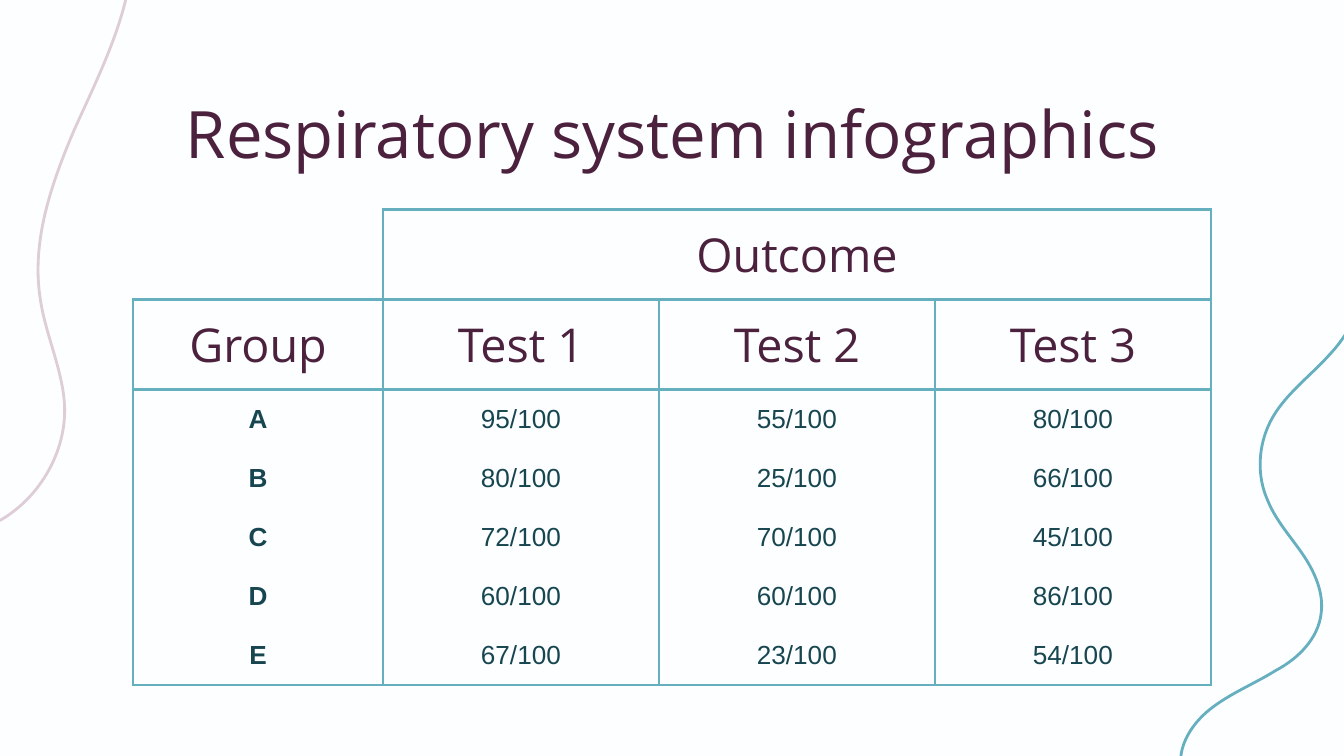
from dataclasses import dataclass
from math import cos, radians, sin

from lxml import etree
from pptx import Presentation
from pptx.dml.color import RGBColor
from pptx.enum.text import MSO_ANCHOR, PP_ALIGN
from pptx.oxml.ns import qn
from pptx.util import Inches, Pt

CENTER = PP_ALIGN.CENTER
TOP = MSO_ANCHOR.TOP
MIDDLE = MSO_ANCHOR.MIDDLE
BLANK_LAYOUT = 6


@dataclass(frozen=True)
class Theme:
    background: str = "FCFEFF"
    heading: str = "4C213D"
    body: str = "174650"
    teal: str = "66AFBF"
    rose: str = "DECCD6"
    heading_font: str = "Open Sans"
    body_font: str = "Arial"
    title_size: int = 35
    header_size: int = 25
    body_size: int = 14
    line_width: float = 1.5


THEME = Theme()

# Each wave: a start point, then cubic curves (two handles and an end point)
TEAL_WAVE = ((10.1, 2.02), [
    (10.17, 2.23, 10.05, 2.47, 9.9, 2.63),
    (9.75, 2.8, 9.55, 2.94, 9.45, 3.14),
    (9.36, 3.32, 9.35, 3.54, 9.43, 3.72),
    (9.49, 3.87, 9.6, 3.99, 9.69, 4.12),
    (9.78, 4.25, 9.85, 4.41, 9.83, 4.56),
    (9.81, 4.75, 9.66, 4.9, 9.49, 4.99),
    (9.33, 5.09, 9.15, 5.16, 9, 5.28),
    (8.85, 5.4, 8.74, 5.59, 8.8, 5.77),
    (8.85, 5.94, 9.02, 6.05, 9.06, 6.22),
    (9.11, 6.39, 8.98, 6.58, 8.81, 6.63),
    (8.64, 6.68, 8.45, 6.6, 8.34, 6.46),
    (8.23, 6.32, 8.19, 6.13, 8.22, 5.96),
    (7.99, 6.08, 7.95, 6.42, 8.05, 6.66),
    (8.16, 6.9, 8.42, 7.05, 8.68, 7.07),
    (9, 7.1, 9.34, 6.94, 9.53, 6.67),
    (9.68, 6.44, 9.73, 6.16, 9.85, 5.92),
    (10.05, 5.53, 10.42, 5.26, 10.79, 5.04),
    (11.17, 4.82, 11.57, 4.62, 11.86, 4.3),
    (11.99, 4.14, 12.11, 3.95, 12.08, 3.74),
    (12.06, 3.55, 11.91, 3.39, 11.77, 3.26),
    (11.52, 3.05, 11.26, 2.86, 10.99, 2.69),
    (10.85, 2.61, 10.71, 2.53, 10.61, 2.41),
    (10.53, 2.32, 10.48, 2.19, 10.4, 2.11),
    (10.31, 2.02, 10.19, 1.94, 10.1, 2.02),
])
ROSE_WAVE = ((-1.78, -1.07), [
    (-1.59, -0.95, -1.55, -0.69, -1.58, -0.46),
    (-1.61, -0.24, -1.68, -0.01, -1.65, 0.21),
    (-1.62, 0.41, -1.49, 0.59, -1.32, 0.7),
    (-1.19, 0.78, -1.03, 0.82, -0.88, 0.87),
    (-0.73, 0.92, -0.58, 1, -0.51, 1.14),
    (-0.41, 1.31, -0.45, 1.52, -0.53, 1.69),
    (-0.6, 1.87, -0.71, 2.03, -0.76, 2.21),
    (-0.81, 2.39, -0.79, 2.62, -0.64, 2.73),
    (-0.5, 2.84, -0.29, 2.82, -0.16, 2.94),
    (-0.03, 3.05, -0.02, 3.28, -0.13, 3.42),
    (-0.24, 3.55, -0.44, 3.6, -0.61, 3.56),
    (-0.78, 3.51, -0.92, 3.38, -1, 3.22),
    (-1.12, 3.45, -0.95, 3.75, -0.73, 3.88),
    (-0.5, 4.02, -0.21, 3.99, 0.02, 3.86),
    (0.3, 3.69, 0.49, 3.36, 0.48, 3.03),
    (0.47, 2.76, 0.34, 2.5, 0.3, 2.23),
    (0.23, 1.8, 0.38, 1.37, 0.55, 0.97),
    (0.73, 0.57, 0.93, 0.18, 0.98, -0.25),
    (1.01, -0.46, 0.98, -0.69, 0.84, -0.84),
    (0.71, -0.98, 0.5, -1.02, 0.31, -1.04),
    (-0.01, -1.07, -0.34, -1.07, -0.66, -1.05),
    (-0.82, -1.04, -0.98, -1.01, -1.13, -1.06),
    (-1.25, -1.09, -1.36, -1.16, -1.48, -1.18),
    (-1.61, -1.2, -1.75, -1.19, -1.78, -1.07),
])

TESTS = ["Test 1", "Test 2", "Test 3"]
RESULTS = {
    "A": ["95/100", "55/100", "80/100"],
    "B": ["80/100", "25/100", "66/100"],
    "C": ["72/100", "70/100", "45/100"],
    "D": ["60/100", "60/100", "86/100"],
    "E": ["67/100", "23/100", "54/100"],
}


def rotate(x, y, degrees):
    angle = radians(degrees)
    return x * cos(angle) - y * sin(angle), x * sin(angle) + y * cos(angle)


def add_wave(slide, wave, rotation, color):
    """Draw a closed curve, given as it lies on the slide after rotation."""
    start, curves = wave
    points = [start] + [curve[i:i + 2] for curve in curves for i in (0, 2, 4)]
    local = [tuple(Inches(v) for v in rotate(x, y, -rotation)) for x, y in points]
    builder = slide.shapes.build_freeform(*local[0])
    builder.add_line_segments(local[1:], close=True)
    shape = builder.convert_to_shape()

    # Join every three line segments into one cubic curve
    outline = next(shape.element.iter(qn("a:path")))
    segments = outline.findall(qn("a:lnTo"))
    for index in range(0, len(segments), 3):
        curve = etree.Element(qn("a:cubicBezTo"))
        segments[index].addprevious(curve)
        for segment in segments[index:index + 3]:
            curve.append(segment[0])
            outline.remove(segment)

    # Turn the shape about its own centre
    center_x, center_y = rotate(shape.left + shape.width / 2,
                                shape.top + shape.height / 2, rotation)
    shape.left = round(center_x - shape.width / 2)
    shape.top = round(center_y - shape.height / 2)
    shape.rotation = rotation
    shape.shadow.inherit = False
    shape.fill.background()
    shape.line.color.rgb = RGBColor.from_string(color)
    shape.line.width = Pt(THEME.line_width)


def write_text(text_frame, text, font, size, color, bold=False):
    paragraph = text_frame.paragraphs[0]
    paragraph.alignment = CENTER
    run = paragraph.add_run()
    run.text = text
    run.font.name = font
    run.font.size = Pt(size)
    run.font.bold = bold
    run.font.color.rgb = RGBColor.from_string(color)


def set_margins(target):
    target.margin_left = target.margin_right = Inches(0.1)
    target.margin_top = target.margin_bottom = Inches(0.1)


def add_title(slide, text):
    box = slide.shapes.add_textbox(Inches(0.79), Inches(0.59), Inches(8.43), Inches(0.63))
    frame = box.text_frame
    frame.word_wrap = True
    frame.vertical_anchor = TOP
    set_margins(frame)
    write_text(frame, text, THEME.heading_font, THEME.title_size, THEME.heading)


def style_cell(cell, sides):
    """Clear the fill and rule only the named sides (L, R, T, B)."""
    properties = cell._tc.get_or_add_tcPr()
    for side in "LRTB":
        line = etree.SubElement(properties, qn(f"a:ln{side}"), w=str(Pt(THEME.line_width)))
        if side in sides:
            fill = etree.SubElement(line, qn("a:solidFill"))
            etree.SubElement(fill, qn("a:srgbClr"), val=THEME.teal)
        else:
            etree.SubElement(line, qn("a:noFill"))
    cell.fill.background()
    cell.vertical_anchor = MIDDLE
    set_margins(cell)


def add_results_table(slide):
    rows = [["", "Outcome", "", ""], ["Group"] + TESTS]
    rows += [[group] + scores for group, scores in RESULTS.items()]
    table_width, group_width = 8.02, 1.86
    test_width = (table_width - group_width) / len(TESTS)
    widths = [group_width] + [test_width] * len(TESTS)
    heights = [0.67] * 2 + [0.44] * len(RESULTS)
    frame = slide.shapes.add_table(len(rows), len(widths), Inches(0.99), Inches(1.56),
                                   Inches(table_width), Inches(sum(heights)))
    table = frame.table
    table.first_row = table.horz_banding = False
    for column, width in zip(table.columns, widths):
        column.width = Inches(width)
    for row, height in zip(table.rows, heights):
        row.height = Inches(height)
    table.cell(0, 1).merge(table.cell(0, len(TESTS)))

    row_sides = ["LRTB", "LRTB", "LRT"] + ["LR"] * (len(RESULTS) - 2) + ["LRB"]
    for i, texts in enumerate(rows):
        for j, text in enumerate(texts):
            cell = table.cell(i, j)
            style_cell(cell, "RB" if i == j == 0 else row_sides[i])
            if text and i < 2:
                write_text(cell.text_frame, text, THEME.heading_font,
                           THEME.header_size, THEME.heading)
            elif text:
                write_text(cell.text_frame, text, THEME.body_font,
                           THEME.body_size, THEME.body, bold=j == 0)


def main():
    presentation = Presentation()
    presentation.slide_width = Inches(10)
    presentation.slide_height = Inches(10) * 9 // 16
    slide = presentation.slides.add_slide(presentation.slide_layouts[BLANK_LAYOUT])
    slide.background.fill.solid()
    slide.background.fill.fore_color.rgb = RGBColor.from_string(THEME.background)

    # Decorative waves
    add_wave(slide, TEAL_WAVE, 135, THEME.teal)
    add_wave(slide, ROSE_WAVE, 99.3, THEME.rose)

    # Content
    add_title(slide, "Respiratory system infographics")
    add_results_table(slide)
    presentation.save("out.pptx")


main()
